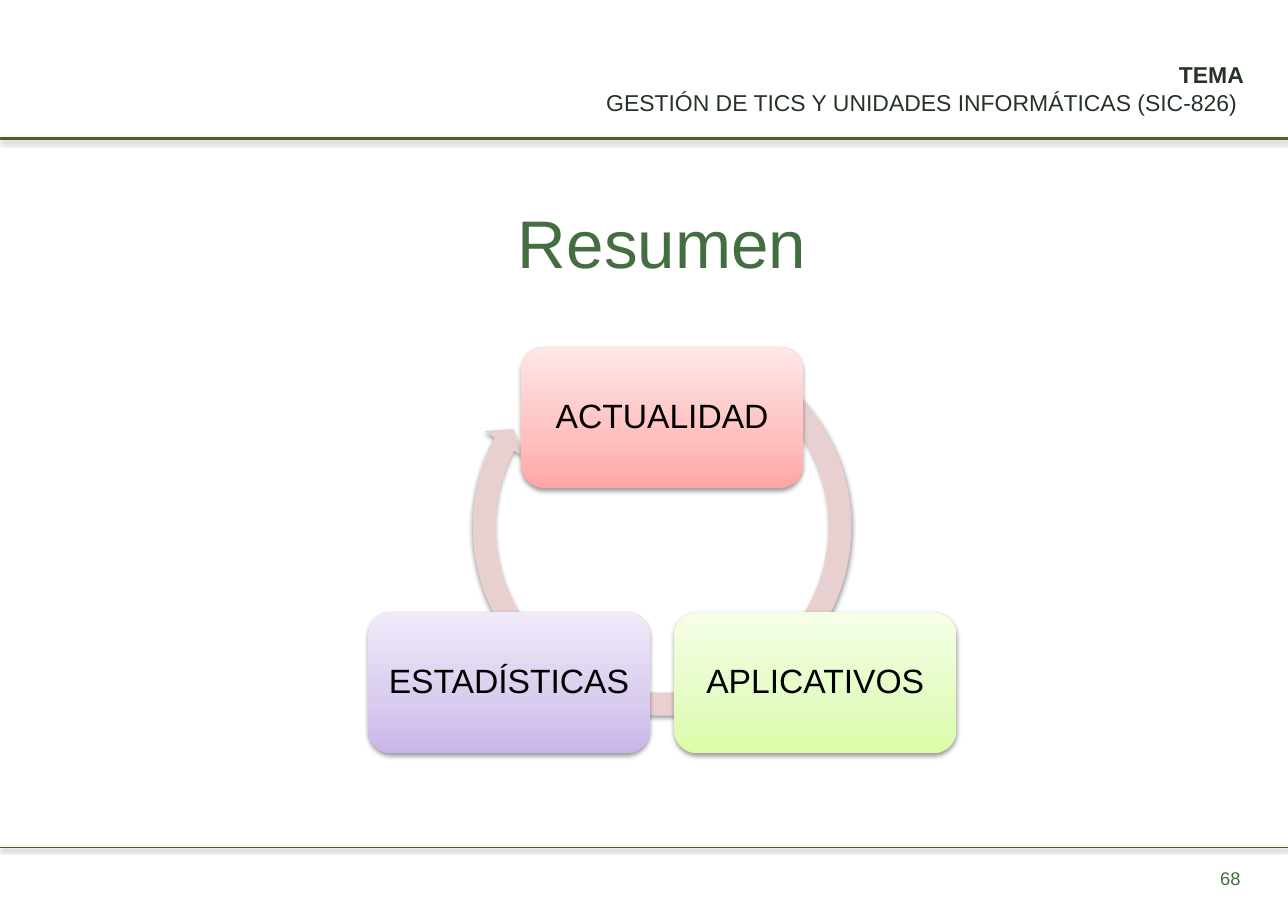
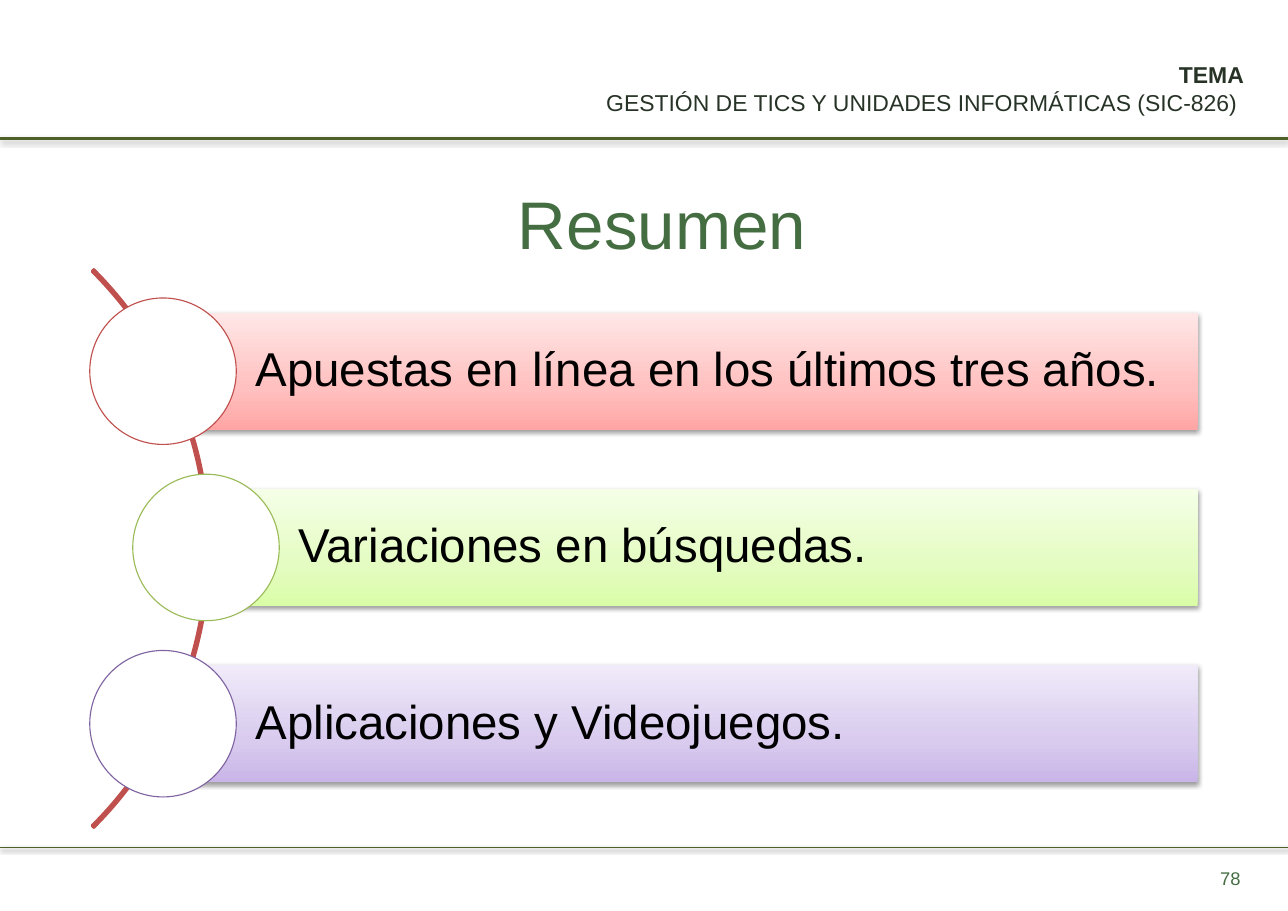
from copy import deepcopy
from dataclasses import dataclass

from lxml import etree
from pptx import Presentation
from pptx.dml.color import RGBColor
from pptx.enum.shapes import MSO_CONNECTOR, MSO_SHAPE
from pptx.enum.text import MSO_ANCHOR, PP_ALIGN
from pptx.oxml.ns import qn
from pptx.util import Inches, Pt

STRAIGHT = MSO_CONNECTOR.STRAIGHT
ARC_ARROW, ARC_BAND = MSO_SHAPE.CIRCULAR_ARROW, MSO_SHAPE.BLOCK_ARC
RECT, ROUNDED, OVAL = MSO_SHAPE.RECTANGLE, MSO_SHAPE.ROUNDED_RECTANGLE, MSO_SHAPE.OVAL
TOP, MIDDLE, BOTTOM = MSO_ANCHOR.TOP, MSO_ANCHOR.MIDDLE, MSO_ANCHOR.BOTTOM
LEFT, CENTER, RIGHT = PP_ALIGN.LEFT, PP_ALIGN.CENTER, PP_ALIGN.RIGHT

SLIDE_W, SLIDE_H = 11.69, 8.27
FONT = "Arial"
RULE_COLOR, HEADER_COLOR, ACCENT = "4E6128", "273326", "446E42"
BLACK, WHITE = "000000", "FFFFFF"
CYCLE_COLOR = "E8D0D0"
STOP_POSITIONS = (0, 0.35, 1)


@dataclass(frozen=True)
class Theme:
    gradient: tuple[str, str, str]
    outline: str


RED = Theme(("FFA6A5", "FFC0BF", "FFE7E7"), "C0504D")
GREEN = Theme(("DAFDA7", "E4FCC2", "F5FFE7"), "9BBB59")
PURPLE = Theme(("C9B5E8", "D8CBEE", "F0EAF9"), "8064A2")


@dataclass(frozen=True)
class CycleNode:
    label: str
    left: float
    top: float
    theme: Theme


@dataclass(frozen=True)
class ListItem:
    label: str
    left: float
    theme: Theme


CYCLE_NODES = (
    CycleNode("ACTUALIDAD", 4.73, 3.15, RED),
    CycleNode("APLICATIVOS", 6.12, 5.56, GREEN),
    CycleNode("ESTADÍSTICAS", 3.34, 5.56, PURPLE),
)
NODE_W, NODE_H = 2.56, 1.28

LIST_ITEMS = (
    ListItem("Apuestas en línea en los últimos tres años.", 1.48, RED),
    ListItem("Variaciones en búsquedas.", 1.87, GREEN),
    ListItem("Aplicaciones y Videojuegos.", 1.48, PURPLE),
)
BAR_TOP, BAR_PITCH, BAR_H, BAR_RIGHT = 2.84, 1.6, 1.06, 10.87
CIRCLE_SIZE = 1.33


def rgb(color: str) -> RGBColor:
    return RGBColor.from_string(color)


def box(left: float, top: float, width: float, height: float) -> tuple:
    return Inches(left), Inches(top), Inches(width), Inches(height)


def add_shadow(effects) -> None:
    """Fill an effect list with the soft shadow used throughout."""
    shadow = etree.SubElement(effects, qn("a:outerShdw"), blurRad="40000",
                              dist="20000", dir="5400000", rotWithShape="0")
    color = etree.SubElement(shadow, qn("a:srgbClr"), val=BLACK)
    etree.SubElement(color, qn("a:alpha"), val="38000")


def add_rule(slide, top: float, width: float) -> None:
    rule = slide.shapes.add_connector(
        STRAIGHT, Inches(0), Inches(top), Inches(SLIDE_W), Inches(top))
    rule.line.color.rgb = rgb(RULE_COLOR)
    rule.line.width = Pt(width)
    add_shadow(etree.SubElement(rule.element.spPr, qn("a:effectLst")))


def add_form(slide, kind, bounds: tuple, shadow: bool = False):
    """Add a preset shape without fill or line, with an optional shadow."""
    form = slide.shapes.add_shape(kind, *bounds)
    form.fill.background()
    form.line.fill.background()
    form.shadow.inherit = False
    if shadow:
        add_shadow(form.element.spPr.find(qn("a:effectLst")))
    return form


def set_outline(form, color: str, width: float) -> None:
    form.line.color.rgb = rgb(color)
    form.line.width = Pt(width)


def set_gradient(form, colors: tuple[str, str, str]) -> None:
    """Apply a three-stop gradient running from bottom to top."""
    form.fill.gradient()
    stop_list = form.element.spPr.find(qn("a:gradFill")).find(qn("a:gsLst"))
    stop_list.insert(1, deepcopy(stop_list[0]))
    for stop, color, position in zip(form.fill.gradient_stops, colors, STOP_POSITIONS):
        stop.color.rgb = rgb(color)
        stop.position = position
    form.fill.gradient_angle = 90


def set_frame(frame, anchor, margins: tuple[float, float, float, float]) -> None:
    """Set wrapping, anchor and left, top, right, bottom margins."""
    frame.word_wrap = True
    frame.vertical_anchor = anchor
    (frame.margin_left, frame.margin_top,
     frame.margin_right, frame.margin_bottom) = map(Inches, margins)


def write(paragraph, text: str, size: float, color: str, align, bold: bool = False) -> None:
    paragraph.alignment = align
    run = paragraph.add_run()
    run.text = text
    run.font.name = FONT
    run.font.size = Pt(size)
    run.font.bold = bold
    run.font.color.rgb = rgb(color)


def add_label(form, text: str, size: float, align, left_margin: float = 0.09) -> None:
    set_frame(form.text_frame, MIDDLE, (left_margin, 0.09, 0.09, 0.09))
    paragraph = form.text_frame.paragraphs[0]
    paragraph.line_spacing = 0.9
    write(paragraph, text, size, BLACK, align)


def add_base_slide(deck, title_top: float, number: str):
    """Add a slide with header, rules, title and page number."""
    slide = deck.slides.add_slide(deck.slide_layouts[6])
    add_rule(slide, 1.26, 2)
    add_rule(slide, 7.69, 0.75)

    header = slide.shapes.add_textbox(*box(4.16, 0.49, 7.24, 0.61)).text_frame
    set_frame(header, BOTTOM, (0.11, 0.05, 0.11, 0.05))
    write(header.paragraphs[0], "TEMA", 15, HEADER_COLOR, RIGHT, bold=True)
    write(header.add_paragraph(), "GESTIÓN DE TICS Y UNIDADES INFORMÁTICAS (SIC-826) ",
          15, HEADER_COLOR, RIGHT)

    title = slide.shapes.add_textbox(*box(0.75, title_top, 10.52, 1.16)).text_frame
    set_frame(title, TOP, (0.1, 0.16, 0.1, 0.1))
    write(title.paragraphs[0], "Resumen", 44, ACCENT, CENTER)

    page = slide.shapes.add_textbox(*box(8.64, 7.75, 2.73, 0.44)).text_frame
    set_frame(page, MIDDLE, (0.11, 0.05, 0.11, 0.05))
    write(page.paragraphs[0], number, 12, ACCENT, RIGHT)
    return slide


def set_adjustments(form, values: tuple[float, ...]) -> None:
    for index, value in enumerate(values):
        form.adjustments[index] = value


def build_cycle_slide(deck) -> None:
    slide = add_base_slide(deck, 1.67, "68")
    cycle = add_form(slide, ARC_ARROW, box(4.18, 2.95, 3.66, 3.66), shadow=True)
    set_adjustments(cycle, (0.057, 3.405, 124.55, 182.461, 0.059))
    cycle.fill.solid()
    cycle.fill.fore_color.rgb = rgb(CYCLE_COLOR)
    for node in CYCLE_NODES:
        card = add_form(slide, ROUNDED, box(node.left, node.top, NODE_W, NODE_H), shadow=True)
        set_gradient(card, node.theme.gradient)
        add_label(card, node.label, 22, CENTER)


def build_list_slide(deck) -> None:
    slide = add_base_slide(deck, 1.49, "78")
    arc = add_form(slide, ARC_BAND, box(-5.26, 1.4, 7.16, 7.16))
    set_adjustments(arc, (189, 27, 0.003))
    set_outline(arc, RED.outline, 2)
    for index, item in enumerate(LIST_ITEMS):
        top = BAR_TOP + index * BAR_PITCH
        bar = add_form(slide, RECT, box(item.left, top, BAR_RIGHT - item.left, BAR_H),
                       shadow=True)
        set_gradient(bar, item.theme.gradient)
        add_label(bar, item.label, 31, LEFT, left_margin=0.84)

        circle = add_form(slide, OVAL, box(item.left - CIRCLE_SIZE / 2,
                                           top + (BAR_H - CIRCLE_SIZE) / 2,
                                           CIRCLE_SIZE, CIRCLE_SIZE))
        circle.fill.solid()
        circle.fill.fore_color.rgb = rgb(WHITE)
        set_outline(circle, item.theme.outline, 0.75)


def main() -> None:
    deck = Presentation()
    deck.slide_width, deck.slide_height = Inches(SLIDE_W), Inches(SLIDE_H)
    build_cycle_slide(deck)
    build_list_slide(deck)
    deck.save("out.pptx")


if __name__ == "__main__":
    main()
